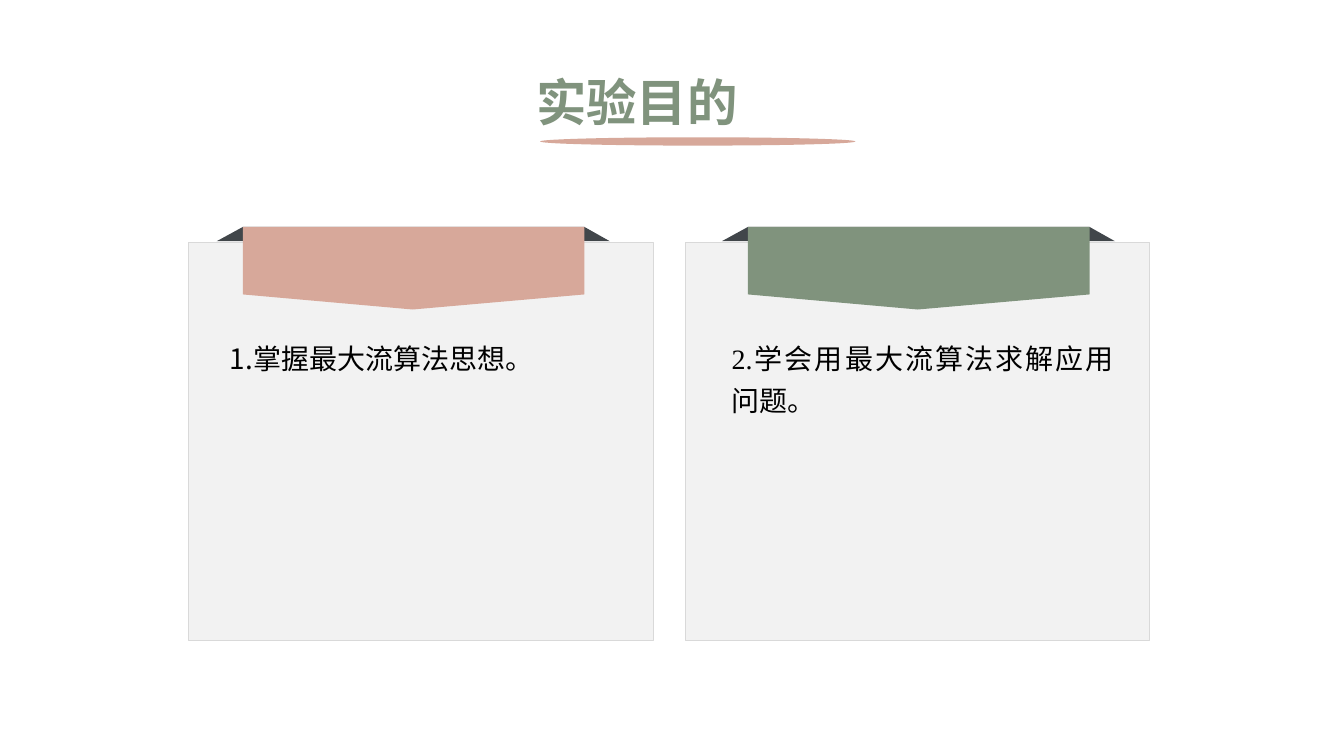
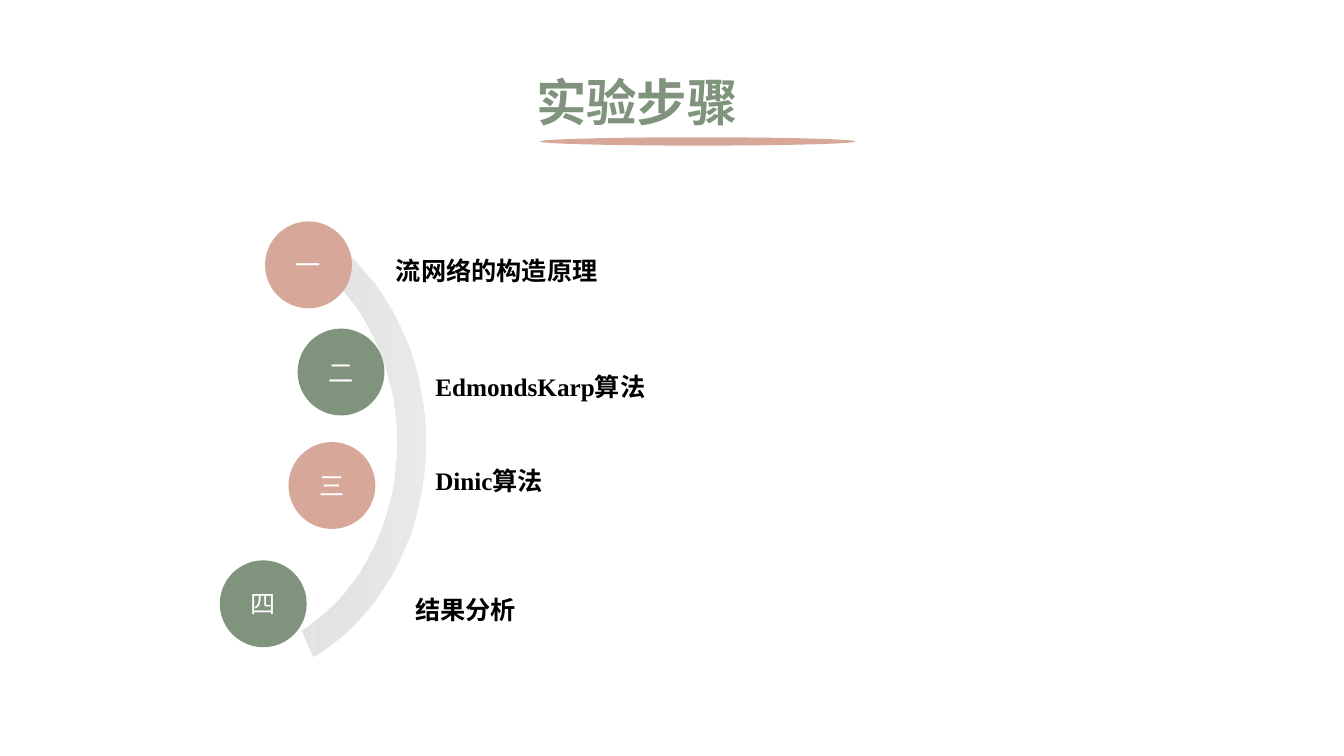
from dataclasses import dataclass
from itertools import cycle

from lxml.etree import SubElement
from pptx import Presentation
from pptx.dml.color import RGBColor as RGB
from pptx.enum.shapes import MSO_SHAPE as Kind
from pptx.enum.text import MSO_ANCHOR as Anchor
from pptx.enum.text import MSO_AUTO_SIZE as Fit
from pptx.enum.text import PP_ALIGN as Align
from pptx.oxml.ns import qn
from pptx.shapes.autoshape import Shape
from pptx.slide import Slide
from pptx.text.text import TextFrame, _Paragraph as Para
from pptx.util import Cm, Pt


@dataclass(frozen=True)
class Theme:
    rose: RGB = RGB(0xD7, 0xA8, 0x9A)
    sage: RGB = RGB(0x80, 0x93, 0x7D)
    slate: RGB = RGB(0x41, 0x46, 0x4A)
    panel: RGB = RGB(0xF2, 0xF2, 0xF2)
    edge: RGB = RGB(0xD9, 0xD9, 0xD9)
    white: RGB = RGB(0xFF, 0xFF, 0xFF)
    black: RGB = RGB(0, 0, 0)
    sans: str = "Noto Sans CJK SC"
    serif: str = "Times New Roman"
    title: int = 36
    body: int = 20
    label: int = 18


THEME = Theme()


@dataclass(frozen=True)
class Card:
    left: float
    ribbon: float
    text_left: float
    text_width: float
    text: str
    numbered: bool = False


@dataclass(frozen=True)
class Step:
    mark: str
    ball_left: float
    ball_top: float
    text: str
    text_left: float
    text_top: float
    spacing: float = 1.5


CARDS = [
    Card(4.75, 5.46, 5.54, 10.26, "掌握最大流算法思想。", numbered=True),
    Card(17.27, 18.19, 18.19, 10.13, "2.学会用最大流算法求解应用问题。"),
]
STEPS = [
    Step("一", 6.68, 5.58, "流网络的构造原理", 9.73, 5.92),
    Step("二", 7.5, 8.28, "EdmondsKarp算法", 10.72, 8.86),
    Step("三", 7.27, 11.14, "Dinic算法", 10.72, 11.61, spacing=1),
    Step("四", 5.54, 14.12, "结果分析", 10.21, 14.48),
]


def paint(shape: Shape, fill: RGB) -> None:
    shape.shadow.inherit = False
    shape.fill.solid()
    shape.fill.fore_color.rgb = fill
    shape.line.fill.background()


def add_form(slide: Slide, kind: Kind, left: float, top: float,
             width: float, height: float, fill: RGB) -> Shape:
    shape = slide.shapes.add_shape(kind, Cm(left), Cm(top), Cm(width), Cm(height))
    paint(shape, fill)
    return shape


def add_outline(slide: Slide, points: list[tuple[float, float]], fill: RGB) -> None:
    first, *rest = [(Cm(x), Cm(y)) for x, y in points]
    pen = slide.shapes.build_freeform(*first)
    pen.add_line_segments(rest)
    paint(pen.convert_to_shape(), fill)


def write(frame: TextFrame, text: str, size: int, color: RGB, face: str,
          bold: bool = False) -> Para:
    para = frame.paragraphs[0]
    para.text = text
    font = para.font
    font.size, font.bold, font.name = Pt(size), bold, face
    font.color.rgb = color
    east = SubElement(font._element, qn("a:ea"))
    east.set("typeface", THEME.sans)
    return para


def add_box(slide: Slide, left: float, top: float, width: float,
            height: float) -> TextFrame:
    box = slide.shapes.add_textbox(Cm(left), Cm(top), Cm(width), Cm(height))
    frame = box.text_frame
    frame.word_wrap = True
    frame.auto_size = Fit.SHAPE_TO_FIT_TEXT
    return frame


def number(para: Para) -> None:
    """Turn the paragraph into the first item of a numbered list."""
    props = para._p.get_or_add_pPr()
    props.set("marL", "0")
    props.set("indent", str(-Cm(0.95)))
    font = props.find(qn("a:defRPr"))
    for tag, name, value in (("a:buFont", "typeface", THEME.sans),
                             ("a:buAutoNum", "type", "arabicPeriod")):
        item = props.makeelement(qn(tag), {name: value})
        font.addprevious(item)
    tabs = props.makeelement(qn("a:tabLst"), {})
    font.addprevious(tabs)
    SubElement(tabs, qn("a:tab"), pos=str(Cm(1.27)), algn="l")


def add_page(deck: Presentation, title: str) -> Slide:
    slide = deck.slides.add_slide(deck.slide_layouts[6])
    add_form(slide, Kind.OVAL, 13.61, 3.46, 7.95, 0.21, THEME.rose)
    frame = add_box(slide, 13.26, 1.68, 8.61, 1.8)
    para = write(frame, title, THEME.title, THEME.sage, THEME.sans, bold=True)
    para.alignment = Align.JUSTIFY
    return slide


def add_card(slide: Slide, card: Card, color: RGB) -> None:
    panel = add_form(slide, Kind.RECTANGLE, card.left, 6.1, 11.71, 10.03, THEME.panel)
    panel.line.color.rgb = THEME.edge
    panel.line.width = Pt(0.75)

    top, fold, side, tip = 5.72, 6.08, 7.42, 7.8
    left = card.ribbon + 0.66
    right = left + 8.61
    add_outline(slide, [(left, top), (right, top), (card.ribbon + 9.91, fold),
                        (card.ribbon, fold)], THEME.slate)
    add_outline(slide, [(left, top), (right, top), (right, side),
                        (left + 4.28, tip), (left, side)], color)

    frame = add_box(slide, card.text_left, 8.26, card.text_width, 1.22)
    para = write(frame, card.text, THEME.body, THEME.black, THEME.serif)
    para.alignment = Align.JUSTIFY
    para.line_spacing = 1.25
    if card.numbered:
        number(para)


def add_arc(slide: Slide) -> None:
    arc = add_form(slide, Kind.BLOCK_ARC, -0.58, 5.92, 12.14, 10.46, THEME.edge)
    arc.rotation = 90
    for i, value in enumerate((123.57, 201.63, 0.07)):
        arc.adjustments[i] = value
    arc.fill.gradient()
    arc.fill.gradient_angle = 270
    start, end = arc.fill.gradient_stops
    start.position, end.position = 0, 1
    start.color.rgb, end.color.rgb = THEME.edge, THEME.white
    tint = arc._element.spPr.find(".//" + qn("a:srgbClr"))
    SubElement(tint, qn("a:alpha"), val="51000")


def add_step(slide: Slide, step: Step, color: RGB) -> None:
    ball = add_form(slide, Kind.OVAL, step.ball_left, step.ball_top, 2.19, 2.19, color)
    ball.text_frame.vertical_anchor = Anchor.MIDDLE
    mark = write(ball.text_frame, step.mark, THEME.label, THEME.white, THEME.sans)
    mark.alignment = Align.CENTER
    frame = add_box(slide, step.text_left, step.text_top, 11.18, 1.27)
    para = write(frame, step.text, THEME.label, THEME.black, THEME.serif, bold=True)
    para.line_spacing = step.spacing


def main() -> None:
    deck = Presentation()
    deck.slide_width, deck.slide_height = Cm(33.87), Cm(19.05)
    hues = (THEME.rose, THEME.sage)

    goals = add_page(deck, "实验目的")
    for card, hue in zip(CARDS, hues):
        add_card(goals, card, hue)

    steps = add_page(deck, "实验步骤")
    add_arc(steps)
    for step, hue in zip(STEPS, cycle(hues)):
        add_step(steps, step, hue)

    deck.save("out.pptx")


if __name__ == "__main__":
    main()
